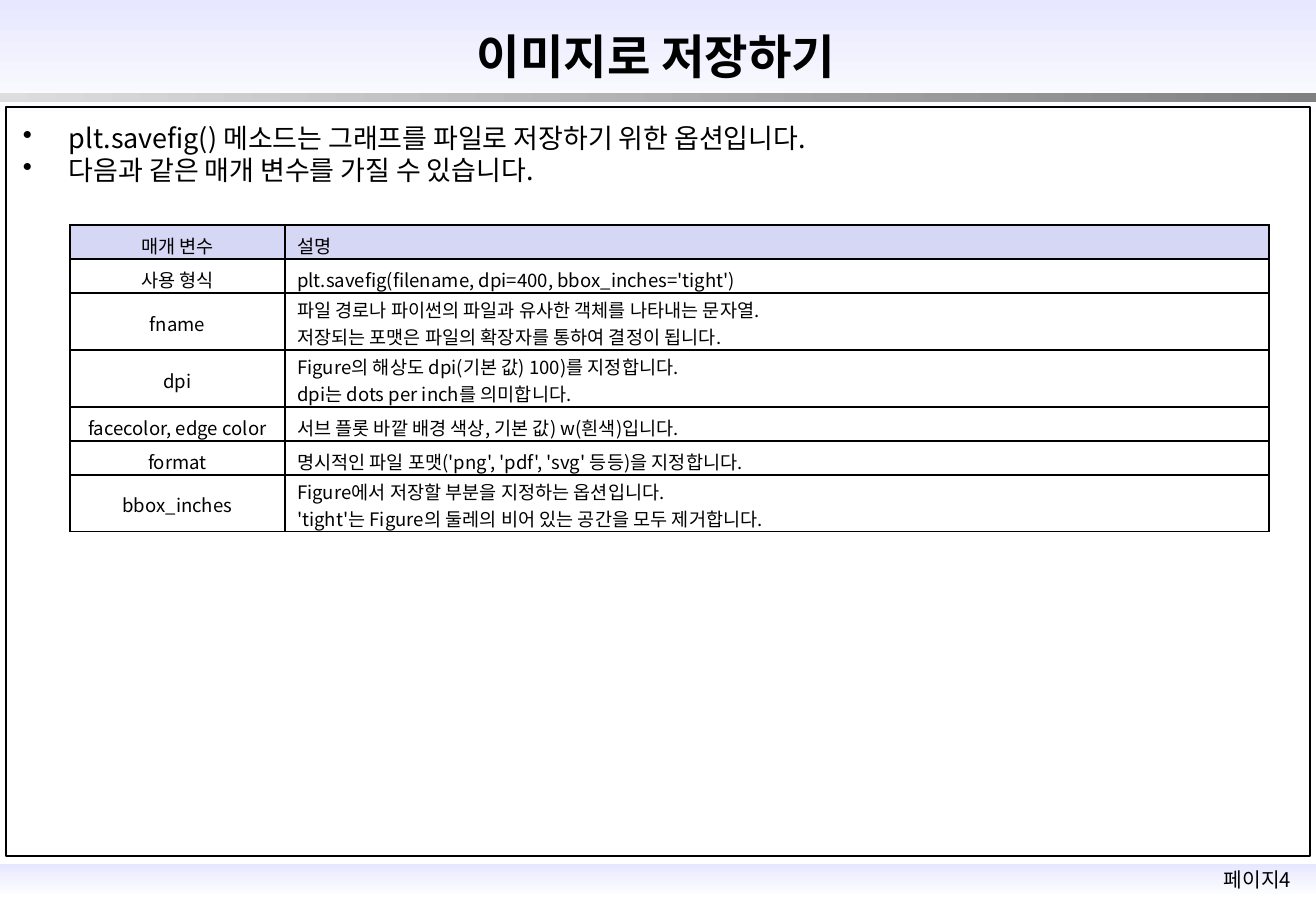
"""Build the slide that explains saving a plot as an image."""
import pptx
import pptx.dml.color
import pptx.enum.shapes
import pptx.enum.text
import pptx.oxml
import pptx.oxml.ns
import pptx.util
import lxml.etree

SCALE = 7526
THEME = {
    "font": "Noto Sans CJK KR",
    "ink": "000000", "pale": "E7E7FF", "white": "FFFFFF",
    "silver": "DDDDDD", "gray": "808080", "header": "D6D6F5",
    "title": 28, "body": 16, "page": 12, "cell": 11,
}
ALIGN = pptx.enum.text.PP_ALIGN
MIDDLE = pptx.enum.text.MSO_ANCHOR.MIDDLE
RECTANGLE = pptx.enum.shapes.MSO_SHAPE.RECTANGLE
color = pptx.dml.color.RGBColor.from_string
qname = pptx.oxml.ns.qn


def px(*lengths):
    """Turn pixel lengths into EMU."""
    return [pptx.util.Emu(length * SCALE) for length in lengths]


def write(frame, text, size, align, bold=False, bullet=False):
    """Fill a text frame, one paragraph for each line of text."""
    frame.word_wrap = True
    for index, line in enumerate(text.split("\n")):
        para = frame.add_paragraph() if index else frame.paragraphs[0]
        para.alignment = align
        span = para.add_run()
        span.text = line
        span.font.size = pptx.util.Pt(size)
        span.font.bold = bold
        span.font.name = THEME["font"]
        span.font.color.rgb = color(THEME["ink"])
        east = lxml.etree.SubElement(span.font._element, qname("a:ea"))
        east.set("typeface", THEME["font"])
        if bullet:
            props = para._p.get_or_add_pPr()
            indent = px(46)[0]
            props.set("marL", str(indent))
            props.set("indent", str(-indent))
            lxml.etree.SubElement(props, qname("a:buChar")).set("char", "•")


deck = pptx.Presentation()
deck.slide_width, deck.slide_height = px(1316, 911)
page = deck.slides.add_slide(deck.slide_layouts[6])

bands = [
    ((0, 864, 1316, 33), "pale", "white", 270),
    ((0, 0, 1316, 122), "pale", "white", 270),
    ((0, 93, 1316, 9), "silver", "gray", 0),
]
for place, start, end, angle in bands:
    band = page.shapes.add_shape(RECTANGLE, *px(*place))
    band.shadow.inherit = False
    band.line.fill.background()
    band.fill.gradient()
    band.fill.gradient_angle = angle
    for stop, name in zip(band.fill.gradient_stops, (start, end)):
        stop.color.rgb = color(THEME[name])

border = page.shapes.add_shape(RECTANGLE, *px(6, 107, 1304, 749))
border.shadow.inherit = False
border.fill.background()
border.line.color.rgb = color(THEME["ink"])
border.line.width = pptx.util.Pt(1.5)

texts = [
    ((1193, 861, 129, 36), "페이지4", {"size": THEME["page"], "align": ALIGN.CENTER}),
    ((169, 21, 974, 70), "이미지로 저장하기",
     {"size": THEME["title"], "align": ALIGN.CENTER, "bold": True}),
    ((11, 112, 1304, 84),
     "plt.savefig() 메소드는 그래프를 파일로 저장하기 위한 옵션입니다.\n"
     "다음과 같은 매개 변수를 가질 수 있습니다.",
     {"size": THEME["body"], "align": ALIGN.LEFT, "bullet": True}),
]
for place, text, style in texts:
    box = page.shapes.add_textbox(*px(*place))
    box.text_frame.vertical_anchor = MIDDLE
    box.text_frame.margin_top = box.text_frame.margin_bottom = px(3)[0]
    write(box.text_frame, text, **style)

rows = [
    ("매개 변수", "설명"),
    ("사용 형식", "plt.savefig(filename, dpi=400, bbox_inches='tight')"),
    ("fname", "파일 경로나 파이썬의 파일과 유사한 객체를 나타내는 문자열.\n"
              "저장되는 포맷은 파일의 확장자를 통하여 결정이 됩니다."),
    ("dpi", "Figure의 해상도 dpi(기본 값) 100)를 지정합니다.\n"
            "dpi는 dots per inch를 의미합니다."),
    ("facecolor, edge color", "서브 플롯 바깥 배경 색상, 기본 값) w(흰색)입니다."),
    ("format", "명시적인 파일 포맷('png', 'pdf', 'svg' 등등)을 지정합니다."),
    ("bbox_inches", "Figure에서 저장할 부분을 지정하는 옵션입니다.\n"
                    "'tight'는 Figure의 둘레의 비어 있는 공간을 모두 제거합니다."),
]
table = page.shapes.add_table(len(rows), 2, *px(70, 225, 1199, 308)).table
table.first_row = table.horz_banding = False
for column, width in zip(table.columns, px(215, 984)):
    column.width = width

for row_index, row in enumerate(rows):
    double = "\n" in row[1]
    table.rows[row_index].height = px(57 if double else 34)[0]
    for column_index, text in enumerate(row):
        cell = table.cell(row_index, column_index)
        cell.vertical_anchor = MIDDLE
        cell.margin_top, cell.margin_bottom = px(3 if double else 6, 0)
        write(cell.text_frame, text, THEME["cell"],
              ALIGN.JUSTIFY if column_index else ALIGN.CENTER)
        if row_index:
            cell.fill.background()
        else:
            cell.fill.solid()
            cell.fill.fore_color.rgb = color(THEME["header"])
        props = cell._tc.get_or_add_tcPr()
        for place, side in enumerate("LRTB"):
            edge = pptx.oxml.parse_xml(
                f'<a:ln{side} {pptx.oxml.ns.nsdecls("a")} w="12700"><a:solidFill>'
                f'<a:srgbClr val="{THEME["ink"]}"/></a:solidFill></a:ln{side}>')
            props.insert(place, edge)

deck.save("out.pptx")
